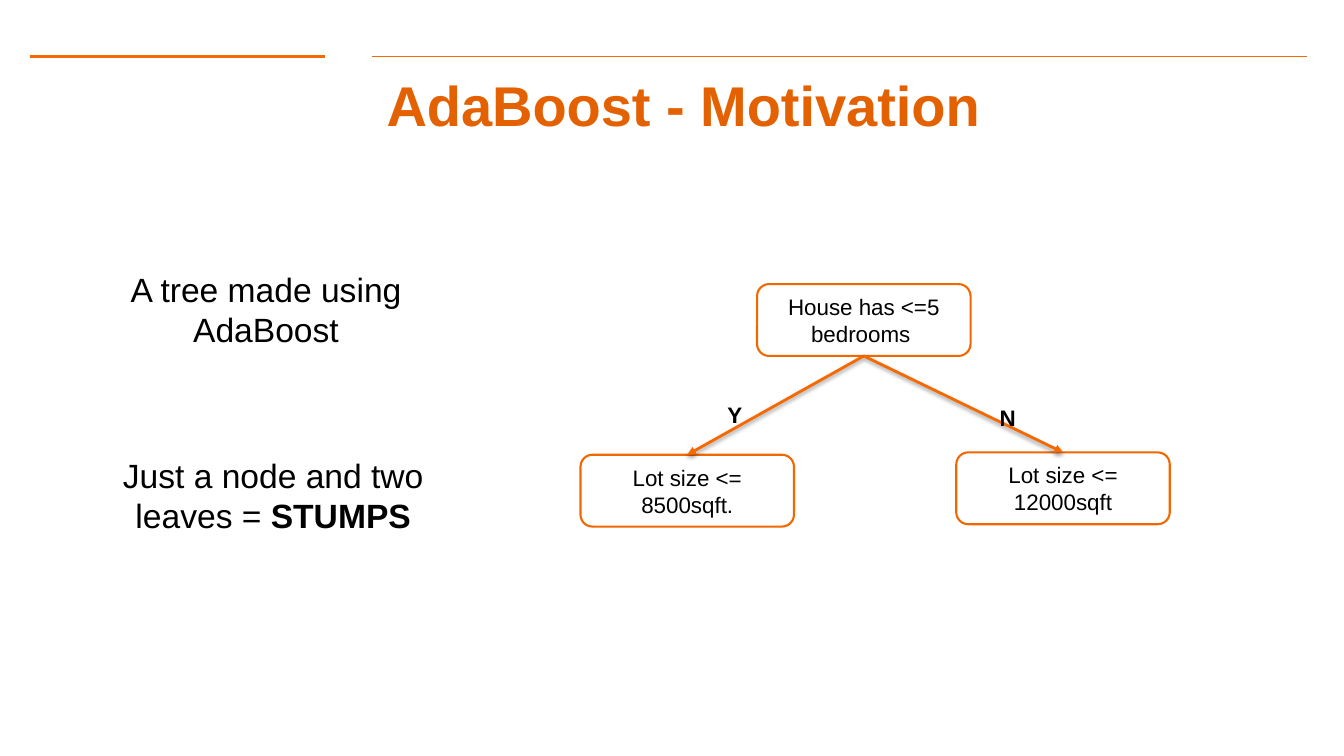
from dataclasses import dataclass

import lxml.etree
import pptx
import pptx.dml.color
import pptx.enum.shapes
import pptx.enum.text
import pptx.oxml
import pptx.oxml.ns
import pptx.util

Cm = pptx.util.Cm
Pt = pptx.util.Pt
RGB = pptx.dml.color.RGBColor.from_string
ALIGN = pptx.enum.text.PP_ALIGN
ANCHOR = pptx.enum.text.MSO_ANCHOR
AUTO = pptx.enum.text.MSO_AUTO_SIZE
STRAIGHT = pptx.enum.shapes.MSO_CONNECTOR.STRAIGHT
ROUNDED = pptx.enum.shapes.MSO_SHAPE.ROUNDED_RECTANGLE
BOTTOM, TOP = 2, 0  # connection sites of a rounded rectangle


@dataclass(frozen=True)
class Theme:
    font: str = "Arial"
    title: str = "E46102"
    rule: str = "F66900"
    border: str = "F16700"
    text: str = "000000"
    title_size: int = 40
    body_size: int = 24
    node_size: int = 16


THEME = Theme()
NODE_SIZE = (5.38, 1.81)
NOTE_SIZE = (8.59, 2.31)
LABEL_SIZE = (0.9, 0.94)

SHADOW = (
    f'<a:effectLst {pptx.oxml.ns.nsdecls("a")}>'
    '<a:outerShdw blurRad="39370" dist="20320" dir="5400000" rotWithShape="0">'
    '<a:srgbClr val="000000"><a:alpha val="38000"/></a:srgbClr>'
    '</a:outerShdw></a:effectLst>'
)
NO_EFFECT = f'<a:effectLst {pptx.oxml.ns.nsdecls("a")}/>'


def apply(obj, **values):
    for name, value in values.items():
        setattr(obj, name, value)


def write(tf, runs, size, color=THEME.text, align=ALIGN.CENTER):
    """Fill the first paragraph with (text, bold) runs."""
    p = tf.paragraphs[0]
    p.alignment = align
    for text, bold in runs:
        r = p.add_run()
        r.text = text
        apply(r.font, name=THEME.font, size=Pt(size), bold=bold)
        r.font.color.rgb = RGB(color)


def add_title(s, text):
    sp = s.shapes.title
    apply(sp, left=Cm(1.98), top=Cm(1.93), width=Cm(30.48), height=Cm(1.4))
    tf = sp.text_frame
    inset = Cm(0.33)
    apply(tf, auto_size=AUTO.NONE, word_wrap=True, vertical_anchor=ANCHOR.MIDDLE,
          margin_left=inset, margin_right=inset, margin_top=inset, margin_bottom=inset)
    write(tf, [(text, True)], THEME.title_size, THEME.title)


def add_line(s, start, end, width, effect=NO_EFFECT):
    line = s.shapes.add_connector(STRAIGHT, *map(Cm, start + end))
    line.line.color.rgb = RGB(THEME.rule)
    line.line.width = Pt(width)
    line._element.spPr.append(pptx.oxml.parse_xml(effect))
    return line


def add_node(s, x, y, text):
    sp = s.shapes.add_shape(ROUNDED, *map(Cm, (x, y) + NODE_SIZE))
    sp.shadow.inherit = False
    sp.fill.background()
    sp.line.color.rgb = RGB(THEME.border)
    sp.line.width = Pt(1.5)
    apply(sp.text_frame, word_wrap=True, vertical_anchor=ANCHOR.MIDDLE)
    write(sp.text_frame, [(text, False)], THEME.node_size)
    return sp


def add_branch(s, parent, child):
    """Join two nodes with a shadowed arrow that points at the child."""
    line = add_line(s, (0, 0), (1, 1), 2, SHADOW)
    line.begin_connect(parent, BOTTOM)
    line.end_connect(child, TOP)
    ln = line.line._get_or_add_ln()
    lxml.etree.SubElement(ln, pptx.oxml.ns.qn("a:tailEnd"), type="triangle")


def add_text(s, at, size, runs, font_size, wrap=True, align=ALIGN.CENTER):
    sp = s.shapes.add_textbox(*map(Cm, at + size))
    apply(sp.text_frame, word_wrap=wrap, auto_size=AUTO.SHAPE_TO_FIT_TEXT)
    write(sp.text_frame, runs, font_size, align=align)


def main():
    prs = pptx.Presentation()
    apply(prs, slide_width=Cm(33.87), slide_height=Cm(19.05))
    s = prs.slides.add_slide(prs.slide_layouts[5])

    add_line(s, (0.76, 1.42), (8.18, 1.42), 2)
    add_line(s, (9.37, 1.42), (32.94, 1.42), 1)
    add_title(s, "AdaBoost - Motivation")

    root = add_node(s, 19.08, 7.16, "House has <=5 bedrooms ")
    yes = add_node(s, 14.63, 11.46, "Lot size <= 8500sqft.")
    no = add_node(s, 24.1, 11.4, "Lot size <= 12000sqft")
    for leaf in (yes, no):
        add_branch(s, root, leaf)
    for label, at in (("Y", (18.08, 9.98)), ("N", (24.94, 10.06))):
        add_text(s, at, LABEL_SIZE, [(label, True)], THEME.node_size,
                 wrap=False, align=ALIGN.LEFT)

    add_text(s, (2.41, 6.65), NOTE_SIZE,
             [("A tree made using AdaBoost", False)], THEME.body_size)
    add_text(s, (2.59, 11.33), NOTE_SIZE,
             [("Just a node and two leaves = ", False), ("STUMPS", True)],
             THEME.body_size)

    prs.save("out.pptx")


if __name__ == "__main__":
    main()
